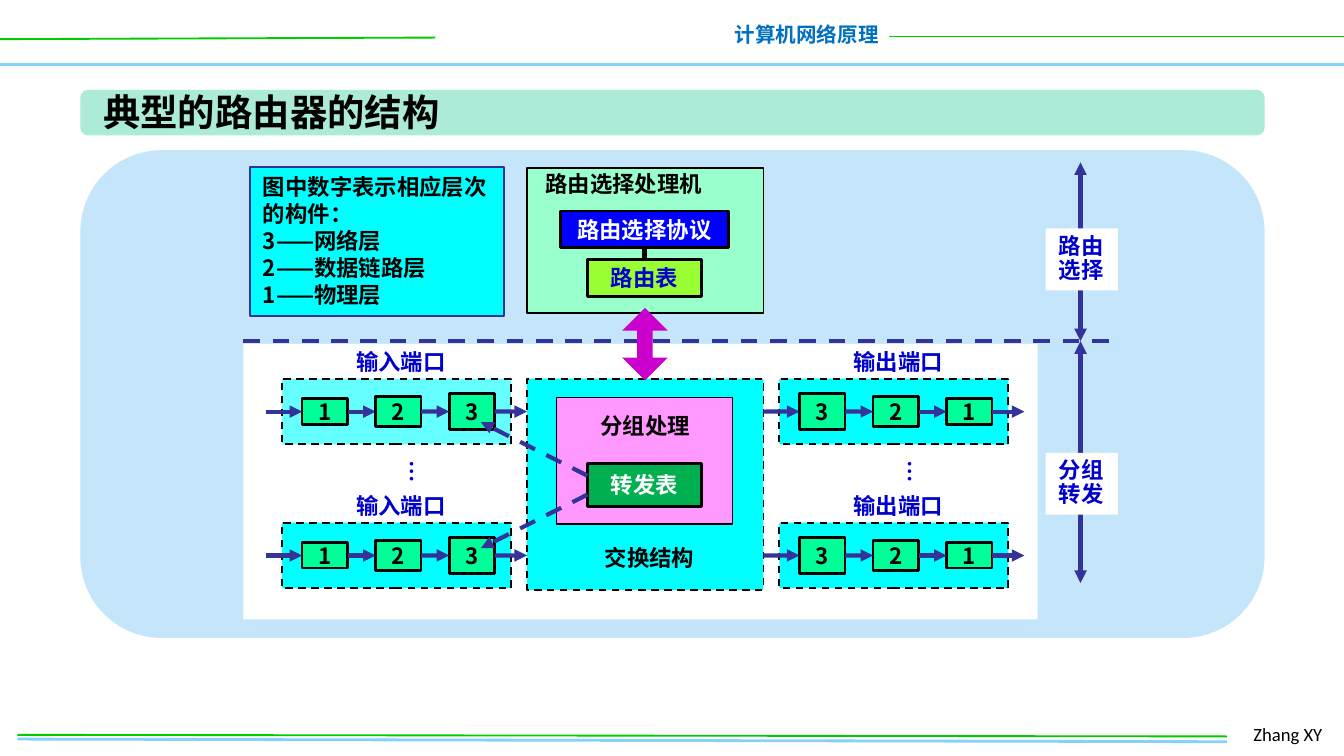
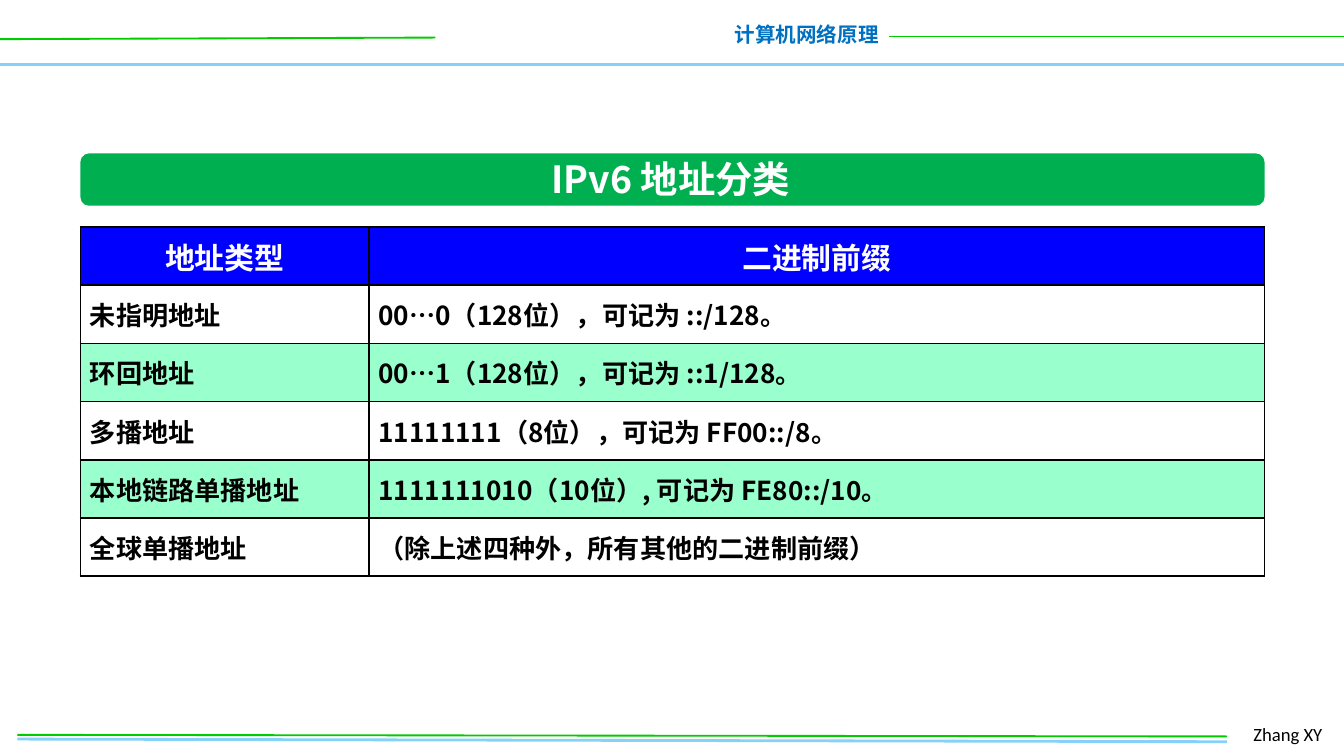
from lxml.etree import SubElement
from pptx import Presentation
from pptx.dml.color import RGBColor
from pptx.enum.dml import MSO_LINE
from pptx.enum.shapes import MSO_CONNECTOR, MSO_SHAPE
from pptx.enum.text import MSO_ANCHOR, MSO_AUTO_SIZE, PP_ALIGN
from pptx.oxml.ns import qn
from pptx.util import Cm, Pt

BLACK = RGBColor(0x00, 0x00, 0x00)
WHITE = RGBColor(0xFF, 0xFF, 0xFF)
SKY = RGBColor(0x85, 0xD1, 0xF7)
RULE_GREEN = RGBColor(0x00, 0xCC, 0x00)
COURSE_BLUE = RGBColor(0x00, 0x70, 0xC0)
PALE_BLUE = RGBColor(0xC5, 0xE5, 0xFB)
MINT = RGBColor(0xAB, 0xEB, 0xD7)
PALE_GREEN = RGBColor(0x99, 0xFF, 0xCC)
CELL_GREEN = RGBColor(0x00, 0xFF, 0x99)
LIME = RGBColor(0x99, 0xFF, 0x33)
GREEN = RGBColor(0x00, 0xB0, 0x50)
CYAN = RGBColor(0x00, 0xFF, 0xFF)
PALE_CYAN = RGBColor(0x66, 0xFF, 0xFF)
PINK = RGBColor(0xFF, 0x99, 0xFF)
MAGENTA = RGBColor(0xCC, 0x00, 0xCC)
BLUE = RGBColor(0x00, 0x00, 0xFF)
LABEL_BLUE = RGBColor(0x00, 0x00, 0xCC)
INDIGO = RGBColor(0x33, 0x33, 0x99)

CJK = "Noto Sans CJK SC"
MARGIN = 1.52
CONTENT_WIDTH = 22.38
TOP, LEFT, BOTTOM, RIGHT = range(4)


class Deck:
    """Holds the presentation, its shared style and the current slide."""

    def __init__(self):
        self.deck = Presentation()
        self.deck.slide_width = Cm(25.4)
        self.deck.slide_height = Cm(14.29)
        self.page = None

    def new_page(self):
        """Start a slide with the course header and footer."""
        self.page = self.deck.slides.add_slide(self.deck.slide_layouts[6])
        self.line((0, 1.22), (25.4, 1.22), SKY, 2)
        self.line((0, 0.74), (8.23, 0.71), RULE_GREEN, 1)
        self.label("计算机网络原理", 13.61, 0.3, 3.25, 0.74, COURSE_BLUE, 11, PP_ALIGN.RIGHT)
        self.line((16.81, 0.69), (25.4, 0.69), RULE_GREEN, 1)
        self.line((0.33, 13.97), (23.19, 14.02), SKY, 1.5)
        self.label("Zhang XY", 23.44, 13.54, 1.88, 0.69, BLACK, 10, font="Calibri", bold=False)
        self.line((0.33, 13.89), (23.19, 13.92), RULE_GREEN, 1)

    def set_text(self, frame, text, color, size=12, align=PP_ALIGN.LEFT, font=CJK,
                 bold=True, spacing=None):
        """Fill a text frame and format every run alike."""
        frame.text = text
        for para in frame.paragraphs:
            para.alignment = align
            if spacing:
                para.line_spacing = spacing
            for span in para.runs:
                span.font.size = Pt(size)
                span.font.bold = bold
                span.font.name = font
                span.font.color.rgb = color
                SubElement(span.font._element, qn("a:ea")).set("typeface", font)

    def label(self, text, left, top, width, height, color, size=12,
              align=PP_ALIGN.LEFT, font=CJK, bold=True, wrap=False):
        """Add a plain text box."""
        box = self.page.shapes.add_textbox(Cm(left), Cm(top), Cm(width), Cm(height))
        box.text_frame.word_wrap = wrap
        box.text_frame.auto_size = MSO_AUTO_SIZE.SHAPE_TO_FIT_TEXT
        self.set_text(box.text_frame, text, color, size, align, font, bold)
        return box

    def shape(self, left, top, width, height, fill, outline=None, weight=1,
              dashed=False, kind=MSO_SHAPE.RECTANGLE, adjust=()):
        """Add a flat filled preset shape."""
        box = self.page.shapes.add_shape(kind, Cm(left), Cm(top), Cm(width), Cm(height))
        box.shadow.inherit = False
        box.fill.solid()
        box.fill.fore_color.rgb = fill
        if outline is None:
            box.line.fill.background()
        else:
            box.line.color.rgb = outline
            box.line.width = Pt(weight)
        if dashed:
            box.line.dash_style = MSO_LINE.DASH
        for index, value in enumerate(adjust):
            box.adjustments[index] = value
        return box

    def block(self, text, left, top, width, height, fill, color):
        """Add a black-edged box with centred text."""
        box = self.shape(left, top, width, height, fill, BLACK, 1.5)
        box.text_frame.word_wrap = False
        box.text_frame.vertical_anchor = MSO_ANCHOR.MIDDLE
        self.set_text(box.text_frame, text, color, align=PP_ALIGN.CENTER)
        return box

    def note(self, text, left, top, width, height, fill, color, outline=None,
             wrap=False, spacing=None):
        """Add a filled box with text set from its top left."""
        box = self.shape(left, top, width, height, fill, outline)
        box.text_frame.word_wrap = wrap
        box.text_frame.auto_size = MSO_AUTO_SIZE.SHAPE_TO_FIT_TEXT
        box.text_frame.vertical_anchor = MSO_ANCHOR.TOP
        self.set_text(box.text_frame, text, color, spacing=spacing)

    def line(self, start, end, color=INDIGO, weight=2.25, dashed=False, heads=()):
        """Add a straight line; an end is a point or a (shape, side) pair."""
        joined = [not isinstance(place[0], (int, float)) for place in (start, end)]
        points = [(0, 0) if join else place for join, place in zip(joined, (start, end))]
        line = self.page.shapes.add_connector(
            MSO_CONNECTOR.STRAIGHT, *(Cm(value) for point in points for value in point))
        if joined[0]:
            line.begin_connect(*start)
        if joined[1]:
            line.end_connect(*end)
        line.line.color.rgb = color
        line.line.width = Pt(weight)
        if dashed:
            line.line.dash_style = MSO_LINE.DASH
        properties = line._element.spPr
        for head in heads:
            SubElement(properties.find(qn("a:ln")), qn(f"a:{head}")).set("type", "triangle")
        SubElement(properties, qn("a:effectLst"))

    def arrow(self, start, end, dashed=False):
        """Add a line with an arrowhead at its end."""
        self.line(start, end, dashed=dashed, heads=["tailEnd"])

    def band(self, top, height, fill):
        """Add the rounded band behind a title."""
        self.shape(MARGIN, top, CONTENT_WIDTH, height, fill,
                   kind=MSO_SHAPE.ROUNDED_RECTANGLE, adjust=[0.167])

    def port(self, name, digits, left, top, fill):
        """Add a named port with its chain of layer components."""
        width, height, reach = 4.33, 1.24, 0.3
        middle = top + height / 2
        self.shape(left, top, width, height, fill, BLACK, dashed=True)
        self.label(name, left + 1.15, top - 0.71, 2.24, 0.76, LABEL_BLUE)
        heights = {"1": 0.48, "2": 0.56, "3": 0.69}
        previous = (left - reach, middle)
        for index, digit in enumerate(digits):
            tall = heights[digit]
            cell = self.block(digit, left + 0.38 + index * 1.39, middle - tall / 2,
                              0.86, tall, CELL_GREEN, BLACK)
            self.arrow(previous, (cell, LEFT))
            previous = (cell, RIGHT)
        self.arrow(previous, (left + width + reach, middle))

    def span_scale(self, text, top, bottom, text_top):
        """Add a two-headed vertical scale with its label."""
        self.line((20.42, top), (20.42, bottom), heads=["headEnd", "tailEnd"])
        self.note(text, 19.76, text_top, 1.37, 1.17, WHITE, LABEL_BLUE, spacing=0.9)

    def table(self, rows, left, top, widths, row_height):
        """Add a bordered table with a blue header and striped rows."""
        table = self.page.shapes.add_table(
            len(rows), len(widths), Cm(left), Cm(top),
            Cm(sum(widths)), Cm(row_height * len(rows))).table
        table.first_row = table.horz_banding = False
        for column, width in zip(table.columns, widths):
            column.width = Cm(width)
        for row_index, texts in enumerate(rows):
            table.rows[row_index].height = Cm(row_height)
            if row_index == 0:
                style = BLUE, WHITE, 16, PP_ALIGN.CENTER
            else:
                style = (WHITE if row_index % 2 else PALE_GREEN), BLACK, 14, PP_ALIGN.JUSTIFY
            for column_index, text in enumerate(texts):
                self.cell(table.cell(row_index, column_index), text, *style)

    def cell(self, cell, text, fill, color, size, align):
        """Set the text, borders and fill of one table cell."""
        self.set_text(cell.text_frame, text, color, size, align)
        cell.vertical_anchor = MSO_ANCHOR.MIDDLE
        cell.margin_left = cell.margin_right = Cm(0.18)
        cell.margin_top = cell.margin_bottom = 0
        for side in "LRTB":
            border = SubElement(cell._tc.get_or_add_tcPr(), qn(f"a:ln{side}"))
            border.set("w", str(Pt(1)))
            paint = SubElement(border, qn("a:solidFill"))
            SubElement(paint, qn("a:srgbClr")).set("val", str(BLACK))
        cell.fill.solid()
        cell.fill.fore_color.rgb = fill


def router_page(deck):
    """Build the slide on the structure of a router."""
    deck.new_page()
    deck.shape(MARGIN, 2.84, CONTENT_WIDTH, 9.22, PALE_BLUE, kind=MSO_SHAPE.ROUNDED_RECTANGLE)
    deck.band(1.7, 0.86, MINT)
    deck.label("典型的路由器的结构", 1.7, 1.57, 6.93, 1.12, BLACK, 20)

    deck.shape(4.6, 6.5, 15.01, 5.21, WHITE)
    deck.note("图中数字表示相应层次的构件：\n3——网络层\n2——数据链路层\n1——物理层",
              4.72, 3.15, 4.8, 2.82, CYAN, BLACK, INDIGO, wrap=True)
    deck.shape(9.96, 3.18, 4.47, 2.74, PALE_GREEN, BLACK)
    deck.label("路由选择处理机", 10.06, 3.1, 3.5, 0.76, BLACK)
    protocol = deck.block("路由选择协议", 10.59, 3.99, 3.18, 0.69, BLUE, WHITE)
    routes = deck.block("路由表", 11.1, 4.9, 2.16, 0.71, LIME, LABEL_BLUE)
    deck.line((protocol, BOTTOM), (routes, TOP), BLACK)

    deck.shape(9.96, 7.16, 4.47, 3.99, CYAN, BLACK, dashed=True)
    deck.label("交换结构", 11.18, 10.16, 2.24, 0.76, BLACK)
    deck.shape(10.52, 7.52, 3.33, 2.39, PINK, BLACK, 0.75)
    deck.label("分组处理", 11.1, 7.67, 2.24, 0.76, BLACK)
    deck.block("转发表", 11.1, 8.76, 2.16, 0.81, GREEN, WHITE)

    for name, digits, left, first_fill in (("输入端口", "123", 5.33, PALE_CYAN),
                                           ("输出端口", "321", 14.73, CYAN)):
        for top, fill in ((7.16, first_fill), (9.88, CYAN)):
            deck.port(name, digits, left, top, fill)
        dots = deck.label("…", left + 2.01, 8.53, 0.91, 0.76, LABEL_BLUE)
        dots.rotation = 90
    deck.arrow((11.1, 8.99), (9.09, 7.98), dashed=True)
    deck.arrow((11.1, 9.35), (9.09, 10.36), dashed=True)

    deck.line((4.6, 6.45), (21.08, 6.45), dashed=True)
    deck.span_scale("路由\n选择", 3.07, 6.45, 4.32)
    deck.span_scale("分组\n转发", 6.45, 11.02, 8.56)
    deck.shape(11.76, 5.82, 0.86, 1.37, MAGENTA,
               kind=MSO_SHAPE.UP_DOWN_ARROW, adjust=[0.5, 0.34])


def address_page(deck):
    """Build the slide on the classes of IPv6 addresses."""
    deck.new_page()
    deck.band(2.9, 0.99, GREEN)
    deck.label("IPv6 地址分类", 5.38, 2.82, 14.6, 1.12, WHITE, 20, PP_ALIGN.CENTER, wrap=True)
    rows = [
        ("地址类型", "二进制前缀"),
        ("未指明地址", "00…0（128位），可记为 ::/128。"),
        ("环回地址", "00…1（128位），可记为 ::1/128。"),
        ("多播地址", "11111111（8位），可记为 FF00::/8。"),
        ("本地链路单播地址", "1111111010（10位）, 可记为 FE80::/10。"),
        ("全球单播地址", "（除上述四种外，所有其他的二进制前缀）"),
    ]
    deck.table(rows, MARGIN, 4.29, [5.45, 16.93], 1.1)


def main():
    """Build and save the slides."""
    deck = Deck()
    router_page(deck)
    address_page(deck)
    deck.deck.save("out.pptx")


if __name__ == "__main__":
    main()
